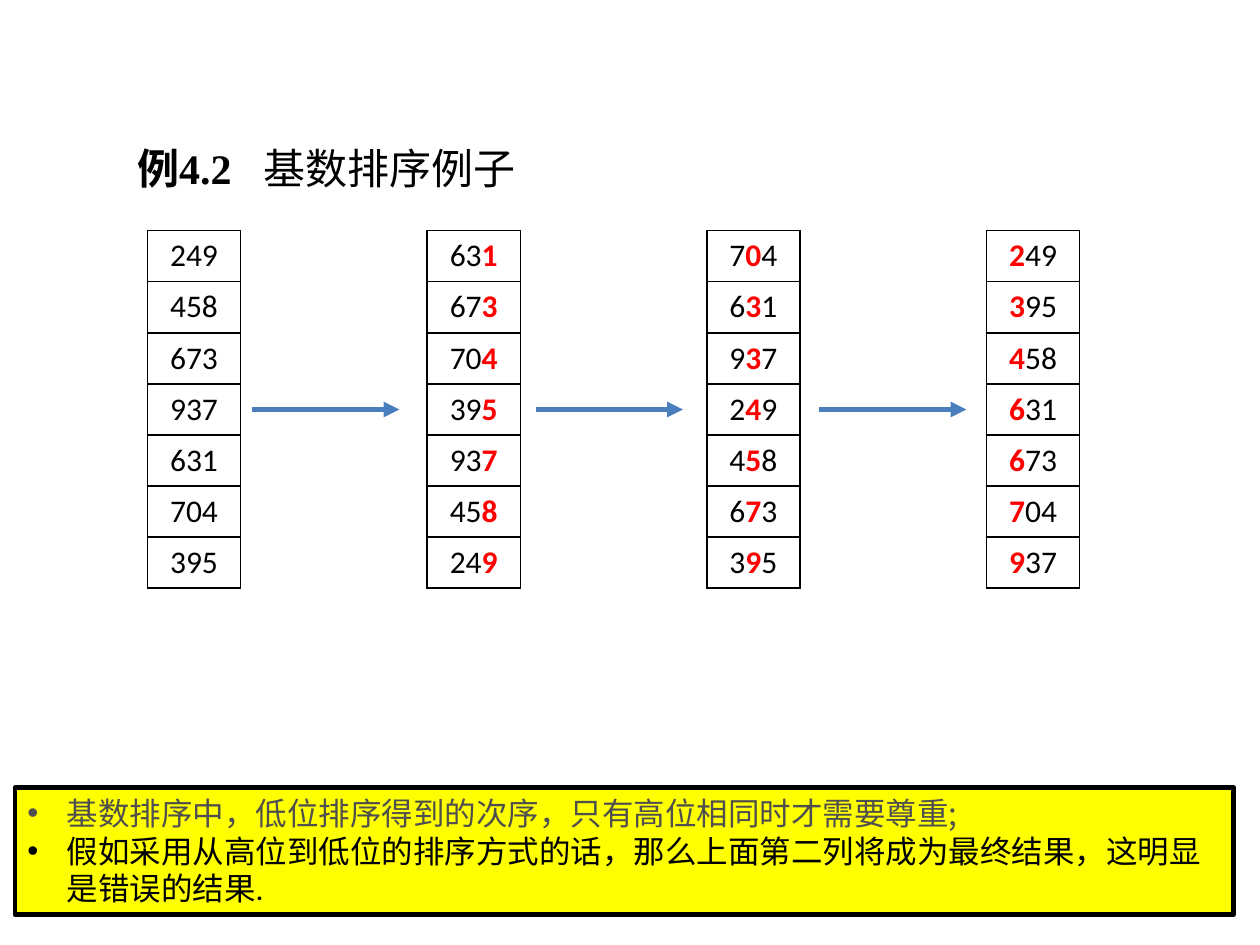
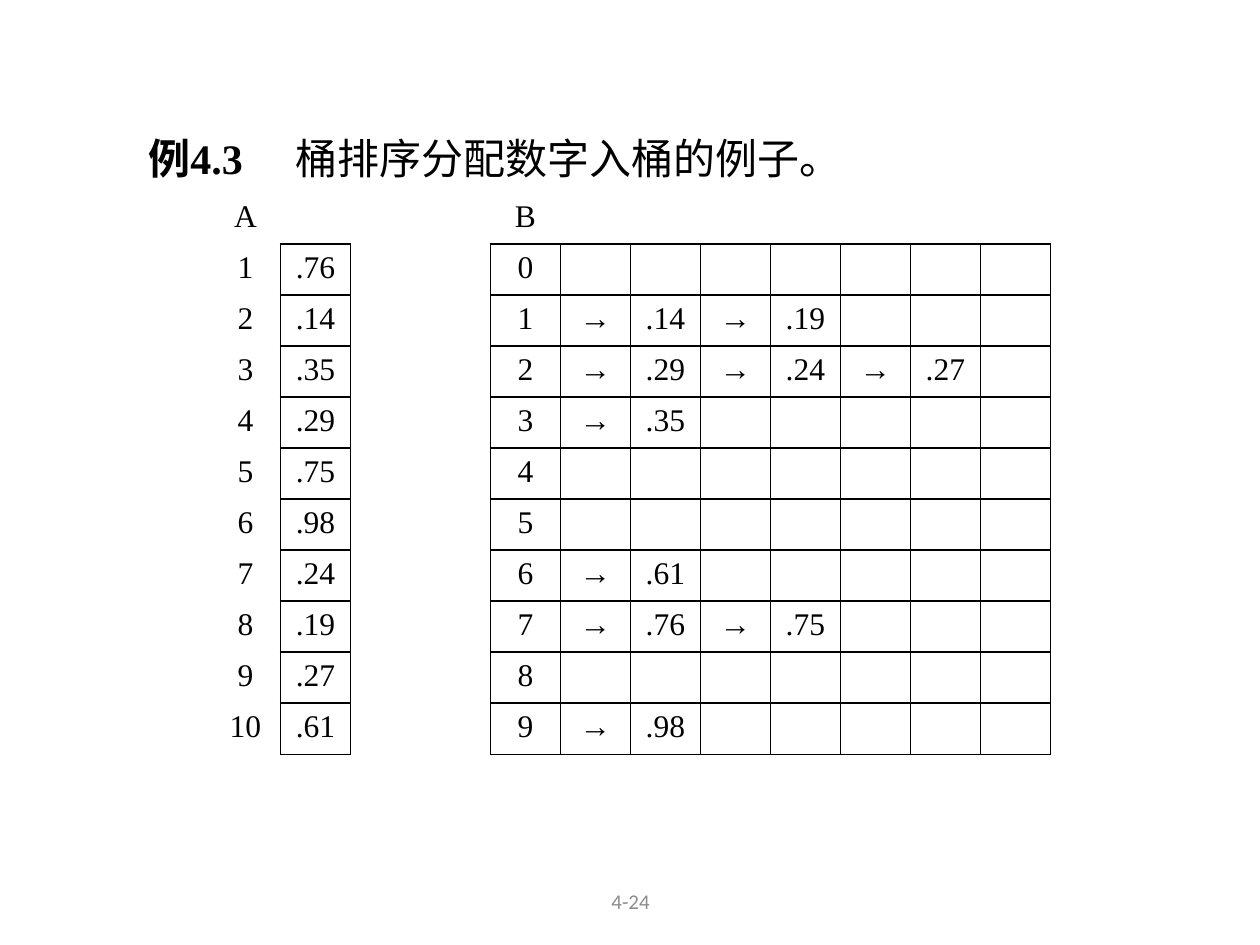
from lxml import etree
from pptx import Presentation
from pptx.dml.color import RGBColor
from pptx.enum.shapes import MSO_CONNECTOR, MSO_SHAPE
from pptx.enum.text import MSO_ANCHOR, PP_ALIGN
from pptx.oxml.ns import qn
from pptx.util import Inches, Pt

CENTER, LEFT = PP_ALIGN.CENTER, PP_ALIGN.LEFT
TOP, MIDDLE = MSO_ANCHOR.TOP, MSO_ANCHOR.MIDDLE
RECTANGLE, STRAIGHT = MSO_SHAPE.RECTANGLE, MSO_CONNECTOR.STRAIGHT

SANS, SERIF, CJK = "Calibri", "Times New Roman", "Noto Sans CJK SC"
BLACK, RED, YELLOW = "000000", "FF0000", "FFFF00"
BLUE, GREY, DARK_GREY = "4B7EBC", "8C8C8C", "4F4F4F"
PLAIN_TABLE = "{2D5ABB26-0587-4C30-8999-92F81FD0307C}"
BORDER_SIDES = ("a:lnL", "a:lnR", "a:lnT", "a:lnB")

RADIX_INPUT = ["249", "458", "673", "937", "631", "704", "395"]
BUCKET_INPUT = [".76", ".14", ".35", ".29", ".75", ".98", ".24", ".19", ".27", ".61"]
BUCKET_LABEL_COLUMN = 4


def color(hex_value):
    return RGBColor.from_string(hex_value)


def add_xml(parent, tag, **attributes):
    return etree.SubElement(parent, qn(tag), attributes)


def add_span(para, text, font=SANS, hex_value=BLACK, size=18, bold=False):
    span = para.add_run()
    span.text = text
    for name, value in {"name": font, "size": Pt(size), "bold": bold}.items():
        setattr(span.font, name, value)
    span.font.color.rgb = color(hex_value)
    add_xml(span._r.get_or_add_rPr(), "a:ea", typeface=CJK)


def add_text_box(page, left, top, width, height, anchor=TOP):
    """Add an empty wrapping text box and return its first paragraph."""
    frame = page.shapes.add_textbox(*map(Inches, (left, top, width, height))).text_frame
    frame.word_wrap = True
    frame.vertical_anchor = anchor
    return frame.paragraphs[0]


def add_title(page, place, label, title, title_offset):
    """Write a bold example label, then its title at a tab stop."""
    para = add_text_box(page, *place)
    tabs = add_xml(para._p.get_or_add_pPr(), "a:tabLst")
    add_xml(tabs, "a:tab", pos=str(Inches(title_offset)), algn="l")
    add_span(para, label + "\t", SERIF, size=24, bold=True)
    add_span(para, title, SERIF, size=24)


def add_page_number(page, text):
    para = add_text_box(page, 3.42, 6.95, 3.17, 0.4, MIDDLE)
    para.alignment = CENTER
    add_span(para, text, hex_value=GREY, size=12)


def add_plain_table(page, rows, columns, left, top, width, height):
    """Add a table without style, banding or fill."""
    frame = page.shapes.add_table(rows, columns, *map(Inches, (left, top, width, height)))
    table = frame.table
    table.first_row = table.horz_banding = False
    table._tbl.tblPr.find(qn("a:tableStyleId")).text = PLAIN_TABLE
    for cell in table.iter_cells():
        cell.fill.background()
    return table


def outline_cell(cell):
    properties = cell._tc.get_or_add_tcPr()
    for position, side in enumerate(BORDER_SIDES):
        line = etree.Element(qn(side), w=str(Pt(1)))
        add_xml(add_xml(line, "a:solidFill"), "a:srgbClr", val=BLACK)
        properties.insert(position, line)


def write_cell(cell, text, font, marked=None):
    """Centre the text and show the character at index marked in bold red."""
    para = cell.text_frame.paragraphs[0]
    para.alignment = CENTER
    if marked is None:
        add_span(para, text, font)
        return
    for part, is_marked in ((text[:marked], False), (text[marked], True),
                            (text[marked + 1:], False)):
        if part:
            add_span(para, part, font, RED if is_marked else BLACK, bold=is_marked)


def add_arrow(page, left, y, length):
    arrow = page.shapes.add_connector(
        STRAIGHT, *map(Inches, (left, y, left + length, y)))
    arrow.line.color.rgb = color(BLUE)
    arrow.line.width = Pt(3)
    add_xml(arrow.line._get_or_add_ln(), "a:tailEnd", type="triangle")
    add_xml(arrow._element.spPr, "a:effectLst")


def add_note(page, items):
    """Add the yellow box; each item is (text, font, color)."""
    box = page.shapes.add_shape(RECTANGLE, *map(Inches, (0.12, 6.25, 9.67, 1.01)))
    box.shadow.inherit = False
    box.fill.solid()
    box.fill.fore_color.rgb = color(YELLOW)
    box.line.color.rgb = color(BLACK)
    box.line.width = Pt(2.75)
    frame = box.text_frame
    frame.word_wrap = True
    frame.vertical_anchor = TOP
    for index, (text, font, hex_value) in enumerate(items):
        para = frame.add_paragraph() if index else frame.paragraphs[0]
        para.alignment = LEFT
        properties = para._p.get_or_add_pPr()
        for name, value in {"marL": 0.31, "indent": -0.31}.items():
            properties.set(name, str(Inches(value)))
        add_xml(properties, "a:buFont", typeface="Arial")
        add_xml(properties, "a:buChar", char="•")
        add_span(para, text, font, hex_value)


def add_radix_table(page):
    """Show the input and the result of each digit pass, last digit first."""
    numbers = RADIX_INPUT
    digits = (None, 2, 1, 0)
    table = add_plain_table(page, len(numbers), 2 * len(digits) - 1, 1.17, 1.83, 7.42, 2.84)
    for index, column in enumerate(table.columns):
        column.width = Inches(1.48 if index % 2 else 0.74)
        if index % 2:
            table.cell(0, index).merge(table.cell(len(numbers) - 1, index))
    for step, digit in enumerate(digits):
        if digit is not None:
            numbers = sorted(numbers, key=lambda number: number[digit])
        for row, number in enumerate(numbers):
            cell = table.cell(row, 2 * step)
            outline_cell(cell)
            write_cell(cell, number, SANS, digit)


def add_bucket_table(page):
    """Show list A and its values chained into the buckets of B."""
    table = add_plain_table(page, 11, 12, 1.67, 1.53, 6.67, 4.46)
    write_cell(table.cell(0, 0), "A", SERIF)
    write_cell(table.cell(0, BUCKET_LABEL_COLUMN), "B", SERIF)
    for row, value in enumerate(BUCKET_INPUT, start=1):
        bucket = str(row - 1)
        chain = [bucket]
        for member in BUCKET_INPUT:
            if member[1] == bucket:
                chain += ["→", member]
        write_cell(table.cell(row, 0), str(row), SERIF)
        write_cell(table.cell(row, 1), value, SERIF)
        for column, text in enumerate(chain, start=BUCKET_LABEL_COLUMN):
            write_cell(table.cell(row, column), text, SERIF)
        for column in (1, *range(BUCKET_LABEL_COLUMN, 12)):
            outline_cell(table.cell(row, column))


def add_radix_slide(page):
    add_title(page, (0.99, 1.08, 7.92, 0.5), "例4.2", "基数排序例子", 1)
    add_radix_table(page)
    for step in range(3):
        add_arrow(page, 2 + 2.25 * step, 3.25, 1.17)
    add_note(page, [
        ("基数排序中，低位排序得到的次序，只有高位相同时才需要尊重;", CJK, DARK_GREY),
        ("假如采用从高位到低位的排序方式的话，那么上面第二列将成为最终结果，"
         "这明显是错误的结果.", SANS, BLACK),
    ])


def add_bucket_slide(page):
    add_page_number(page, "4-24")
    add_title(page, (1.08, 1, 7.83, 5.76), "例4.3", "桶排序分配数字入桶的例子。", 1.17)
    add_bucket_table(page)


def main():
    deck = Presentation()
    deck.slide_width, deck.slide_height = Inches(10), Inches(7.5)
    for build in (add_radix_slide, add_bucket_slide):
        build(deck.slides.add_slide(deck.slide_layouts[6]))
    deck.save("out.pptx")


if __name__ == "__main__":
    main()
